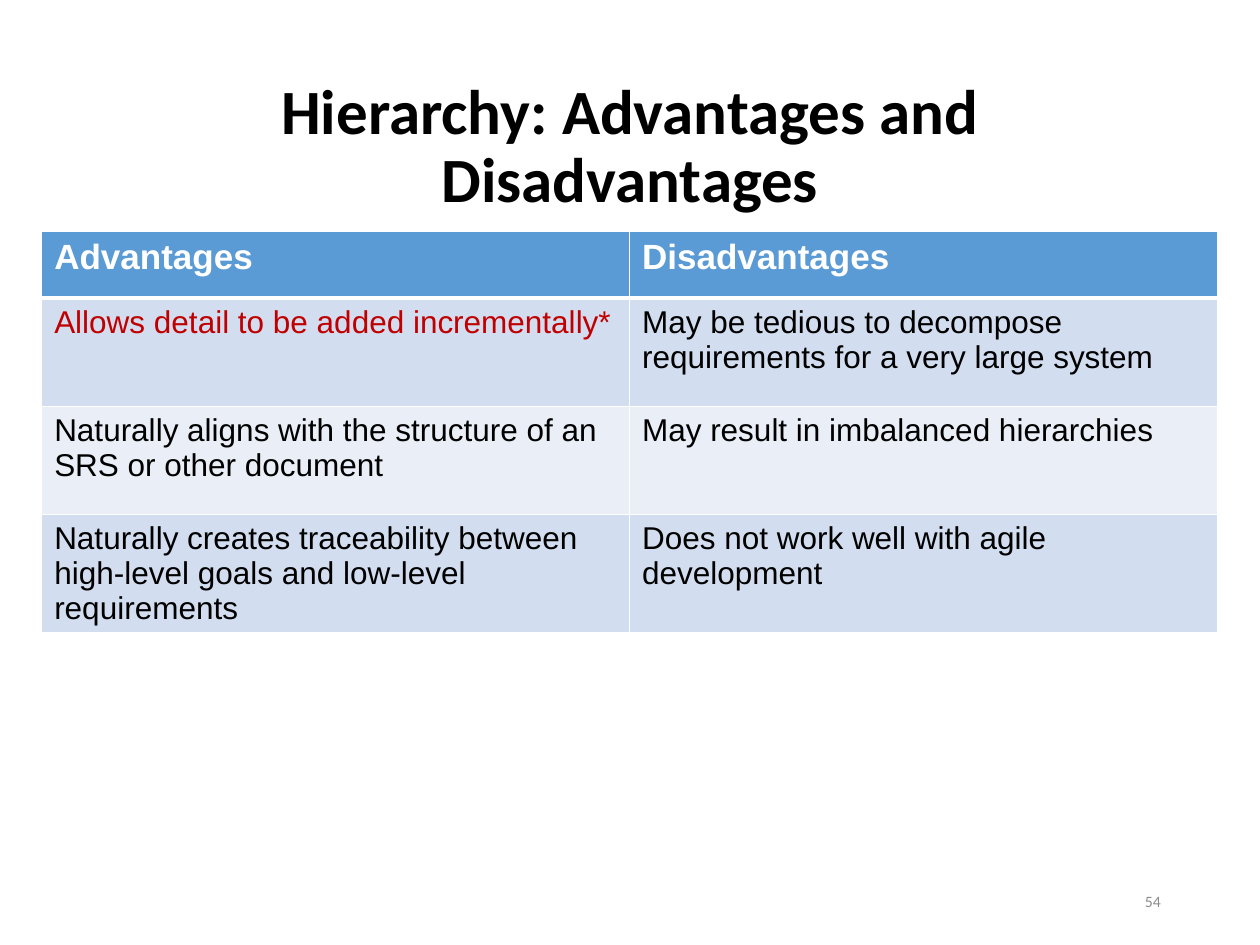
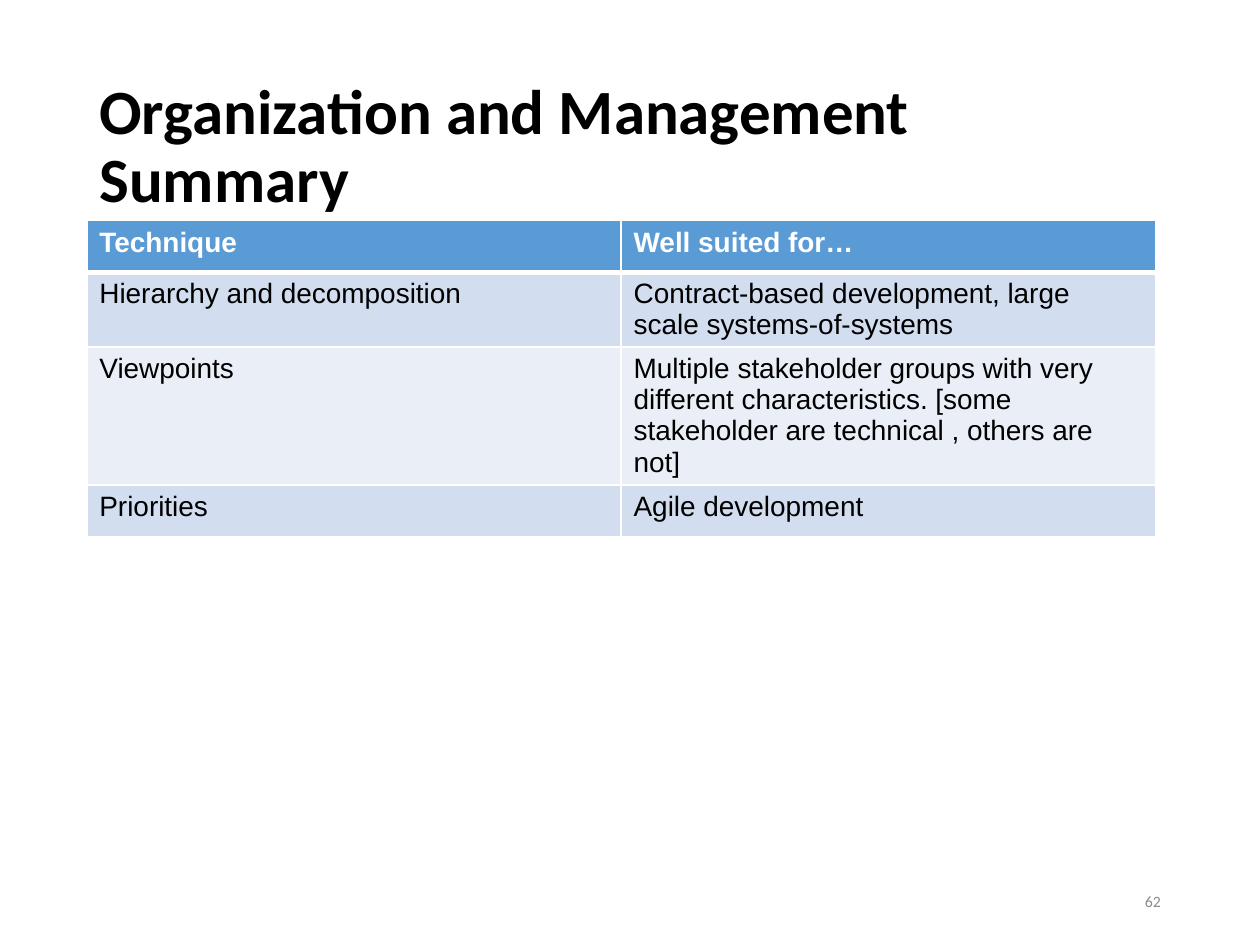
from pptx import Presentation
from pptx.dml.color import RGBColor
from pptx.enum.text import MSO_ANCHOR, MSO_AUTO_SIZE, PP_ALIGN
from pptx.oxml.ns import qn
from pptx.util import Cm, Pt
from lxml.etree import SubElement

BLACK, WHITE, GREY, RED = "000000", "FFFFFF", "8C8C8C", "C00000"
HEADER_FILL, BAND_FILLS = "5B9BD5", ("D2DEEF", "EAEFF7")
TITLE_BOX = (1.75, 1.96, 21.9, 2.06)
NUMBER_BOX = (17.93, 17.65, 5.72, 1.02)
TITLE_FORMAT = {"name": "Calibri", "size": Pt(36), "bold": True}
NUMBER_FORMAT = {"name": "Calibri", "size": Pt(9), "bold": False}
TITLE_ONLY_LAYOUT = 5

SLIDES = [
    {
        "title": "Hierarchy: Advantages and Disadvantages",
        "alignment": PP_ALIGN.CENTER,
        "number": "54",
        "table_box": (0.84, 4.66, 23.7),
        "row_heights": (1.35, 2.18, 2.18, 2.36),
        "header_size": 20,
        "body_size": 18,
        "rows": [
            ("Advantages", "Disadvantages"),
            ("Allows detail to be added incrementally*",
             "May be tedious to decompose requirements for a very large system"),
            ("Naturally aligns with the structure of an SRS or other document",
             "May result in imbalanced hierarchies"),
            ("Naturally creates traceability between high-level goals and low-level requirements",
             "Does not work well with agile development"),
        ],
        "highlights": {(1, 0)},
    },
    {
        "title": "Organization and Management Summary",
        "alignment": PP_ALIGN.LEFT,
        "number": "62",
        "table_box": (1.75, 4.45, 21.54),
        "row_heights": (1.04, 1.5, 2.78, 1.04),
        "header_size": 16,
        "body_size": 16,
        "rows": [
            ("Technique", "Well suited for…"),
            ("Hierarchy and decomposition",
             "Contract-based development, large scale systems-of-systems"),
            ("Viewpoints",
             "Multiple stakeholder groups with very different characteristics. "
             "[some stakeholder are technical , others are not]"),
            ("Priorities", "Agile development"),
        ],
        "highlights": set(),
    },
]


def colour(value):
    """Turn a hex string into a colour."""
    return RGBColor.from_string(value)


def apply_format(target, values):
    """Set each named attribute on the target."""
    for name, value in values.items():
        setattr(target, name, value)


def write_text(text_frame, text, font_format, text_colour, alignment=PP_ALIGN.LEFT):
    """Write one formatted paragraph and return it."""
    text_frame.text = text
    paragraph = text_frame.paragraphs[0]
    paragraph.alignment = alignment
    font = paragraph.runs[0].font
    apply_format(font, font_format)
    font.color.rgb = colour(text_colour)
    return paragraph


def add_title(slide, text, alignment, box):
    """Place and format the title placeholder."""
    title = slide.shapes.title
    apply_format(title, dict(zip(("left", "top", "width", "height"), map(Cm, box))))
    paragraph = write_text(title.text_frame, text, TITLE_FORMAT, BLACK, alignment)
    paragraph.line_spacing = 0.9
    apply_format(title.text_frame, {"vertical_anchor": MSO_ANCHOR.MIDDLE,
                                    "auto_size": MSO_AUTO_SIZE.NONE, "word_wrap": True})


def add_slide_number(slide, number, box):
    """Add the number at the lower right."""
    text_frame = slide.shapes.add_textbox(*map(Cm, box)).text_frame
    apply_format(text_frame, {"vertical_anchor": MSO_ANCHOR.MIDDLE, "word_wrap": True})
    write_text(text_frame, number, NUMBER_FORMAT, GREY, PP_ALIGN.RIGHT)


def set_borders(cell, row_index):
    """Draw white cell borders, thicker under the header."""
    properties = cell._tc.get_or_add_tcPr()
    widths = {"lnL": 1, "lnR": 1, "lnT": 3 if row_index == 1 else 1,
              "lnB": 3 if row_index == 0 else 1}
    for position, (side, width) in enumerate(widths.items()):
        line = SubElement(properties, qn(f"a:{side}"), w=str(Pt(width)))
        fill = SubElement(line, qn("a:solidFill"))
        SubElement(fill, qn("a:srgbClr"), val=WHITE)
        properties.insert(position, line)


def add_comparison_table(slide, content, box):
    """Add a two-column table with a header and banded rows."""
    left, top, width = box
    rows, heights = content["rows"], content["row_heights"]
    table = slide.shapes.add_table(len(rows), len(rows[0]), Cm(left), Cm(top),
                                   Cm(width), Cm(sum(heights))).table
    for row_index, texts in enumerate(rows):
        table.rows[row_index].height = Cm(heights[row_index])
        is_header = row_index == 0
        size = content["header_size" if is_header else "body_size"]
        font_format = {"name": "Arial", "size": Pt(size), "bold": is_header}
        fill = HEADER_FILL if is_header else BAND_FILLS[(row_index - 1) % 2]
        for column_index, text in enumerate(texts):
            cell = table.cell(row_index, column_index)
            cell.fill.solid()
            cell.fill.fore_color.rgb = colour(fill)
            highlighted = (row_index, column_index) in content["highlights"]
            text_colour = WHITE if is_header else RED if highlighted else BLACK
            write_text(cell.text_frame, text, font_format, text_colour)
            set_borders(cell, row_index)


def add_table_slide(presentation, content):
    """Add a slide with a title, a table and a number."""
    slide = presentation.slides.add_slide(presentation.slide_layouts[TITLE_ONLY_LAYOUT])
    add_title(slide, content["title"], content["alignment"], TITLE_BOX)
    add_comparison_table(slide, content, content["table_box"])
    add_slide_number(slide, content["number"], NUMBER_BOX)


def main():
    """Build and save the presentation."""
    presentation = Presentation()
    presentation.slide_width, presentation.slide_height = Cm(25.4), Cm(19.05)
    for content in SLIDES:
        add_table_slide(presentation, content)
    presentation.save("out.pptx")


if __name__ == "__main__":
    main()
